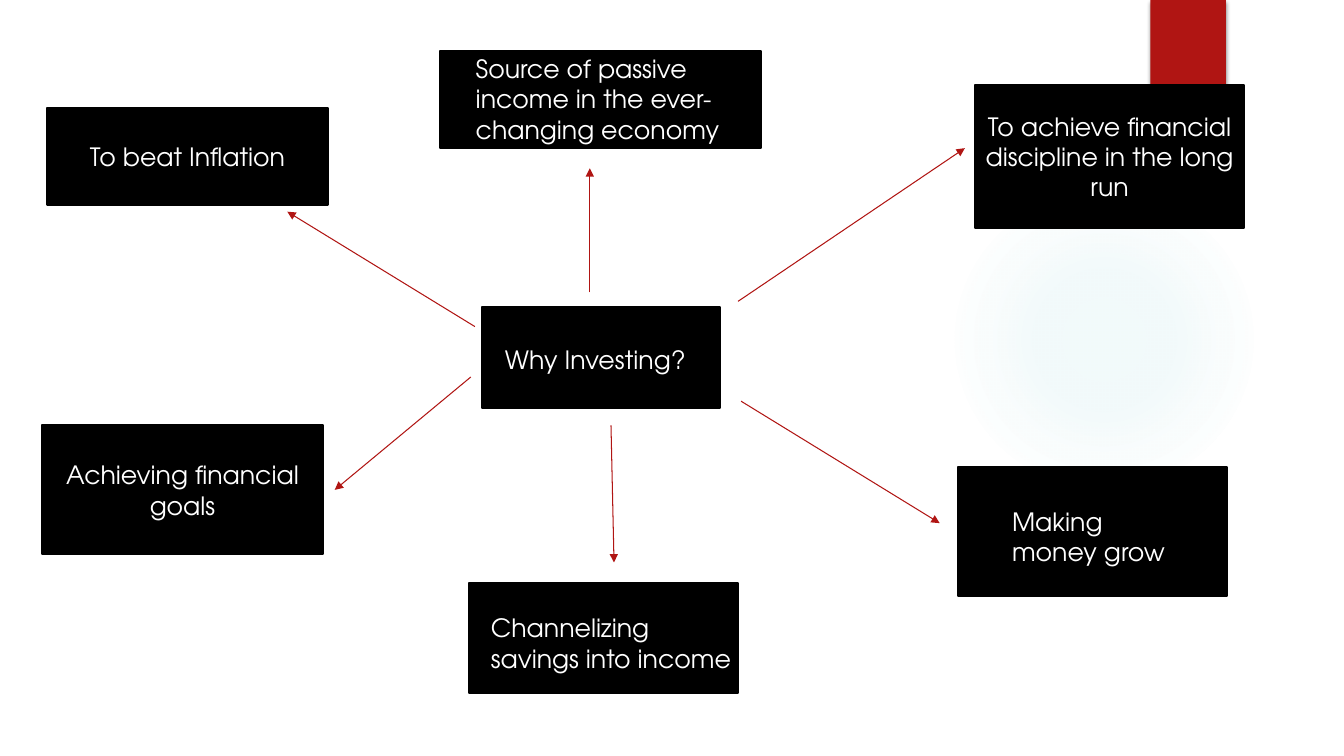
import dataclasses

import lxml.etree
import pptx
import pptx.dml.color
import pptx.enum.shapes
import pptx.enum.text
import pptx.oxml
import pptx.oxml.ns
import pptx.util

Inches = pptx.util.Inches
Pt = pptx.util.Pt
Shape = pptx.enum.shapes.MSO_SHAPE
Align = pptx.enum.text.PP_ALIGN
Anchor = pptx.enum.text.MSO_ANCHOR
qn = pptx.oxml.ns.qn

FONT = "TeX Gyre Adventor"
BLACK, WHITE, RED, TEAL = "000000", "FFFFFF", "B01513", "4CB9C3"


@dataclasses.dataclass
class Area:
    left: float
    top: float
    width: float
    height: float

    def lengths(self) -> list:
        return [Inches(n) for n in (self.left, self.top, self.width, self.height)]


@dataclasses.dataclass
class Card:
    text: str
    area: Area
    label: Area | None = None  # left-aligned text area; None centres text in the card


@dataclasses.dataclass
class Arrow:
    start: tuple[float, float]
    end: tuple[float, float]


CARDS = [
    Card("To beat Inflation", Area(0.47, 1.07, 2.78, 0.96)),
    Card("To achieve financial discipline in the long run", Area(9.67, 0.84, 2.67, 1.42)),
    Card("Achieving financial goals", Area(0.42, 4.22, 2.78, 1.28)),
    Card("Making money grow", Area(9.5, 4.63, 2.67, 1.28), Area(9.94, 4.97, 1.94, 0.71)),
    Card("Why Investing?", Area(4.78, 3.05, 2.36, 1), Area(4.91, 3.37, 2.08, 0.4)),
    Card("Channelizing savings into income", Area(4.65, 5.78, 2.67, 1.1),
         Area(4.77, 6.03, 2.62, 0.71)),
    Card("Source of passive income in the ever-changing economy",
         Area(4.36, 0.51, 3.19, 0.96), Area(4.62, 0.48, 2.91, 1.01)),
]

ARROWS = [
    Arrow((7.35, 3.98), (9.32, 5.19)),
    Arrow((4.67, 3.74), (3.32, 4.86)),
    Arrow((7.32, 2.99), (9.57, 1.47)),
    Arrow((4.71, 3.24), (2.85, 2.1)),
    Arrow((5.85, 2.9), (5.85, 1.67)),
    Arrow((6.06, 4.22), (6.09, 5.58)),
]


def tint(color, value: str) -> None:
    color.rgb = pptx.dml.color.RGBColor.from_string(value)


def add_block(slide, kind, area: Area, fill: str):
    block = slide.shapes.add_shape(kind, *area.lengths())
    block.shadow.inherit = False
    block.fill.solid()
    tint(block.fill.fore_color, fill)
    block.line.fill.background()
    return block


def add_glow(slide, area: Area) -> None:
    glow = add_block(slide, Shape.OVAL, area, TEAL)
    stops = "".join(
        f'<a:gs pos="{pos}000"><a:srgbClr val="{TEAL}"><a:alpha val="{alpha}000"/></a:srgbClr></a:gs>'
        for pos, alpha in ((0, 7), (36, 6), (69, 0), (100, 0)))
    grade = pptx.oxml.parse_xml(
        f'<a:gradFill {pptx.oxml.ns.nsdecls("a")}><a:gsLst>{stops}</a:gsLst>'
        '<a:path path="circle"><a:fillToRect l="50000" t="50000" r="50000" b="50000"/>'
        '</a:path></a:gradFill>')
    props = glow._element.spPr
    props.replace(props.find(qn("a:solidFill")), grade)


def add_tab(slide, area: Area) -> None:
    tab = add_block(slide, Shape.RECTANGLE, area, RED)
    effects = tab._element.spPr.find(qn("a:effectLst"))
    shade = lxml.etree.SubElement(
        effects, qn("a:outerShdw"), blurRad=str(Pt(3)), dist=str(Pt(2)),
        dir="5400000", rotWithShape="0")
    color = lxml.etree.SubElement(shade, qn("a:srgbClr"), val=BLACK)
    lxml.etree.SubElement(color, qn("a:alpha"), val="45000")


def write(frame, text: str, align) -> None:
    frame.word_wrap = True
    frame.text = text
    line = frame.paragraphs[0]
    line.alignment = align
    font = line.runs[0].font
    font.name, font.size = FONT, Pt(18)
    tint(font.color, WHITE)


def add_card(slide, card: Card) -> None:
    block = add_block(slide, Shape.RECTANGLE, card.area, BLACK)
    tint(block.line.color, BLACK)
    block.line.width = Pt(1.5)
    if card.label:
        box = slide.shapes.add_textbox(*card.label.lengths())
        write(box.text_frame, card.text, Align.LEFT)
    else:
        block.text_frame.vertical_anchor = Anchor.MIDDLE
        write(block.text_frame, card.text, Align.CENTER)


def add_arrow(slide, arrow: Arrow) -> None:
    ends = [Inches(n) for n in arrow.start + arrow.end]
    line = slide.shapes.add_connector(pptx.enum.shapes.MSO_CONNECTOR.STRAIGHT, *ends)
    tint(line.line.color, RED)
    line.line.width = Pt(0.75)
    props = line._element.spPr
    lxml.etree.SubElement(props.find(qn("a:ln")), qn("a:tailEnd"), type="triangle")
    lxml.etree.SubElement(props, qn("a:effectLst"))


def main() -> None:
    deck = pptx.Presentation()
    deck.slide_width, deck.slide_height = Inches(13.33), Inches(7.5)
    slide = deck.slides.add_slide(deck.slide_layouts[6])

    # Backdrop
    add_glow(slide, Area(9.41, 1.83, 3.08, 3.08))
    add_tab(slide, Area(11.41, 0, 0.75, 1.25))

    # Mind map
    for card in CARDS:
        add_card(slide, card)
    for arrow in ARROWS:
        add_arrow(slide, arrow)

    deck.save("out.pptx")


if __name__ == "__main__":
    main()
